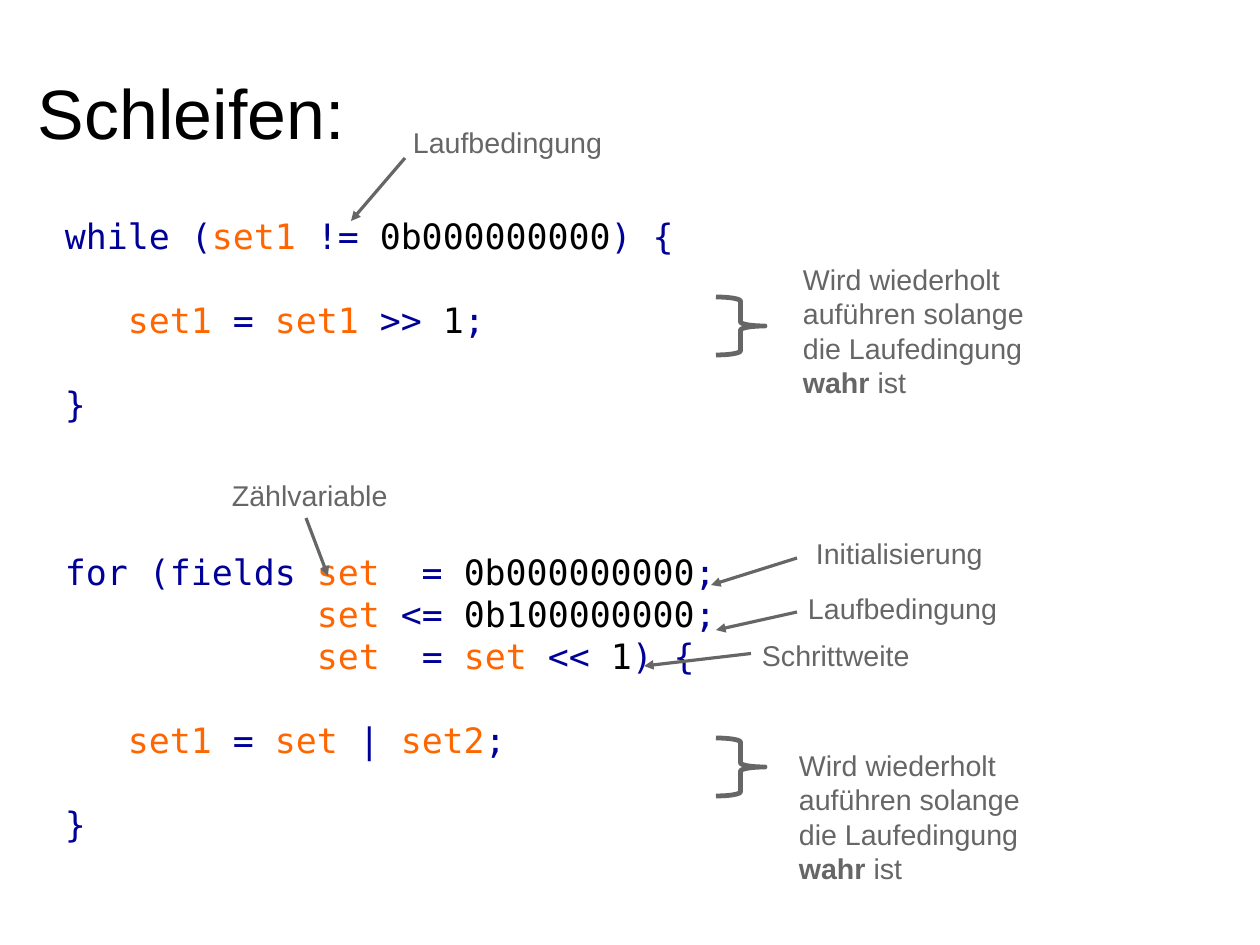
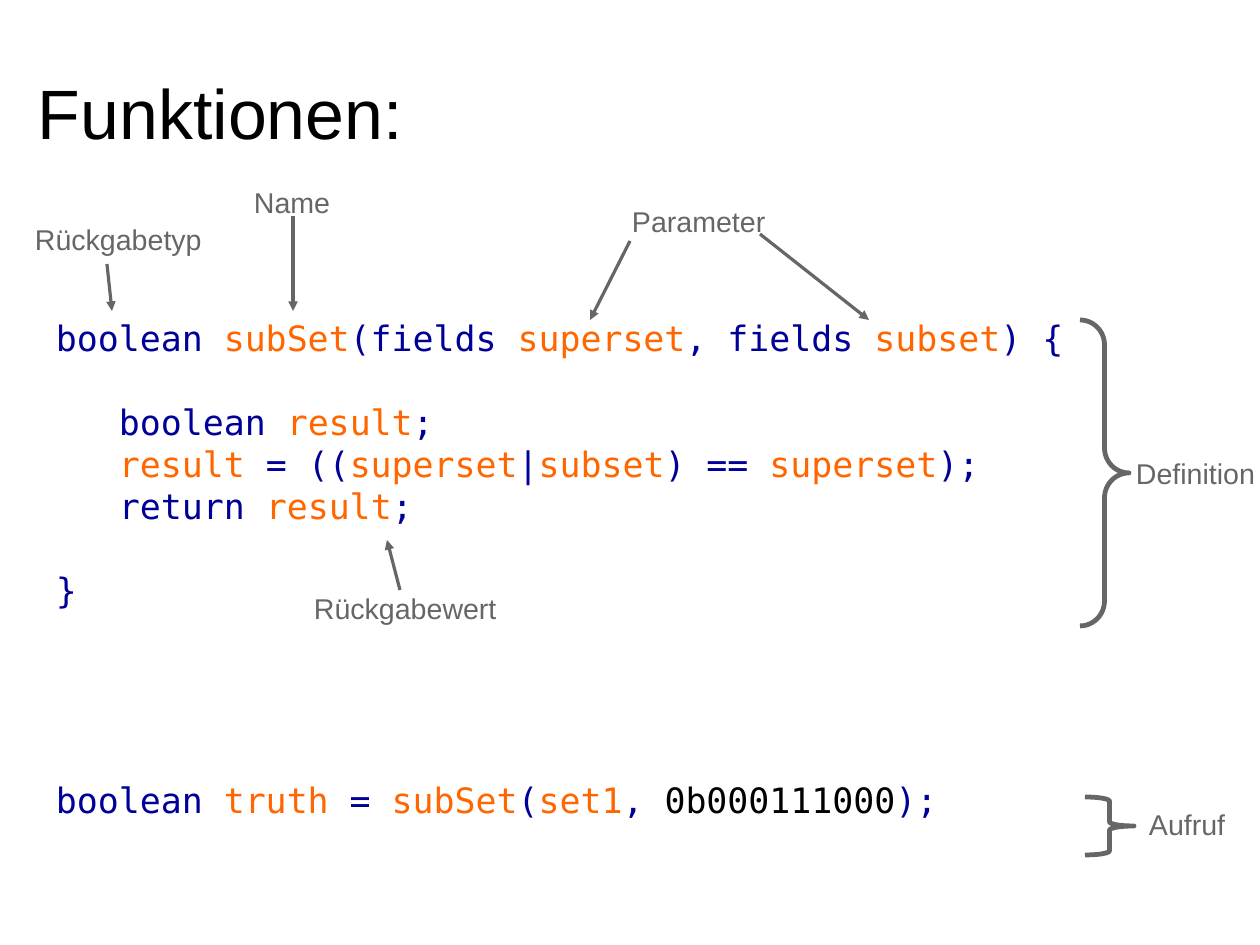
from lxml.etree import SubElement
from pptx import Presentation
from pptx.dml.color import RGBColor
from pptx.enum.shapes import MSO_CONNECTOR, MSO_SHAPE
from pptx.oxml.ns import qn
from pptx.util import Pt

PX = 8000  # EMU per px
BLACK = RGBColor(0x00, 0x00, 0x00)
NAVY = RGBColor(0x00, 0x00, 0x99)
ORANGE = RGBColor(0xFF, 0x66, 0x00)
GREY = RGBColor(0x66, 0x66, 0x66)

# Shared styles: plain text, and text marked with ~ on both sides
TITLE = {"font": {"name": "Arial", "size": Pt(44)}, "plain": BLACK, "marked": BLACK}
LABEL = {"font": {"name": "Arial", "size": Pt(18)}, "plain": GREY, "marked": GREY}
CODE = {"font": {"name": "DejaVu Sans Mono", "size": Pt(22)}, "plain": NAVY, "marked": ORANGE}
CODE_COLUMN = 21
CODE_LINE = 42
TITLE_PLACE = (27, 64, 662, 89)
FRAME = {"word_wrap": True, "margin_left": 11 * PX, "margin_right": 0,
         "margin_top": 6 * PX, "margin_bottom": 6 * PX}
ROUND = 0.51
FLAT = 0.083
REPEATED = ["Wird wiederholt auführen solange", "die Laufedingung ~wahr~ ist"]

# Code lines: empty lines above, indent in columns, text
# Labels: place, paragraphs; arrows: start point or label, end point
SLIDES = [
    {
        "title": "Schleifen:",
        "code_place": (54, 209, 922, 718),
        "code": [
            (0, 0, "while (~set1~ != ~0b000000000~) {"),
            (1, 3, "~set1~ = ~set1~ >> ~1~;"),
            (1, 0, "}"),
            (3, 0, "for (fields ~set~  = ~0b000000000~;"),
            (0, 12, "~set~ <= ~0b100000000~;"),
            (0, 12, "~set~  = ~set~ << ~1~) {"),
            (1, 3, "~set1~ = ~set~ | ~set2~;"),
            (1, 0, "}"),
        ],
        "labels": [
            ((402, 119, 287, 48), ["Laufbedingung"]),
            ((221, 472, 178, 43), ["Zählvariable"]),
            ((805, 530, 190, 43), ["Initialisierung"]),
            ((797, 585, 211, 43), ["Laufbedingung"]),
            ((751, 632, 170, 43), ["Schrittweite"]),
            ((792, 256, 261, 141), REPEATED),
            ((788, 742, 261, 141), REPEATED),
        ],
        "braces": [((716, 297, 49, 58), FLAT), ((716, 738, 49, 58), FLAT)],
        "arrows": [
            ((405, 158), (351, 221)),
            ((306, 518), (328, 576)),
            ((797, 558), (711, 585)),
            ((797, 612), (716, 630)),
            ("Schrittweite", (644, 666)),
        ],
    },
    {
        "title": "Funktionen:",
        "code_place": (45, 311, 1134, 594),
        "code": [
            (0, 0, "boolean ~subSet~(fields ~superset~, fields ~subset~) {"),
            (1, 3, "boolean ~result~;"),
            (0, 3, "~result~ = ((~superset~|~subset~) == ~superset~);"),
            (0, 3, "return ~result~;"),
            (1, 0, "}"),
            (4, 0, "boolean ~truth~ = ~subSet~(~set1~, ~0b000111000~);"),
        ],
        "labels": [
            ((24, 216, 215, 48), ["Rückgabetyp"]),
            ((243, 179, 107, 48), ["Name"]),
            ((621, 198, 202, 43), ["Parameter"]),
            ((303, 585, 215, 48), ["Rückgabewert"]),
            ((1125, 450, 135, 49), ["Definition"]),
            ((1138, 801, 104, 49), ["Aufruf"]),
        ],
        "braces": [((1080, 320, 49, 306), ROUND), ((1085, 797, 49, 58), FLAT)],
        "arrows": [
            ((107, 264), (112, 311)),
            ((293, 216), (293, 311)),
            ((630, 241), (590, 320)),
            ((760, 234), (869, 320)),
            ((400, 590), (387, 540)),
        ],
    },
]


def emu(lengths):
    return [length * PX for length in lengths]


def add_text(page, place, lines, style):
    box = page.shapes.add_textbox(*emu(place))
    frame = box.text_frame
    for name, value in FRAME.items():
        setattr(frame, name, value)
    for number, (gap, indent, text) in enumerate(lines):
        para = frame.paragraphs[0] if number == 0 else frame.add_paragraph()
        if gap:
            para.space_before = Pt(gap * CODE_LINE * PX / 12700)
        if indent:
            para._p.get_or_add_pPr().set("marL", str(indent * CODE_COLUMN * PX))
        for position, piece in enumerate(text.split("~")):
            if not piece:
                continue
            marked = position % 2 == 1
            span = para.add_run()
            span.text = piece
            for name, value in style["font"].items():
                setattr(span.font, name, value)
            span.font.color.rgb = style["marked" if marked else "plain"]
            if marked and style is LABEL:
                span.font.bold = True
            if marked and piece[0].isdigit():
                span.font.color.rgb = BLACK
    return box


deck = Presentation()
deck.slide_width, deck.slide_height = emu((1260, 945))

for content in SLIDES:
    page = deck.slides.add_slide(deck.slide_layouts[6])

    # Title and code
    add_text(page, TITLE_PLACE, [(0, 0, content["title"])], TITLE)
    add_text(page, content["code_place"], content["code"], CODE)

    # Labels
    labels = {}
    for place, texts in content["labels"]:
        labels[texts[0]] = add_text(page, place, [(0, 0, text) for text in texts], LABEL)

    # Braces
    for place, curve in content["braces"]:
        brace = page.shapes.add_shape(MSO_SHAPE.RIGHT_BRACE, *emu(place))
        brace.adjustments[0] = curve
        brace.shadow.inherit = False
        brace.fill.background()
        brace.line.color.rgb = GREY
        brace.line.width = Pt(3)

    # Arrows
    for start, end in content["arrows"]:
        joined = start in labels
        first = end if joined else start
        arrow = page.shapes.add_connector(MSO_CONNECTOR.STRAIGHT, *emu(first + end))
        if joined:
            arrow.begin_connect(labels[start], 1)
        arrow.line.color.rgb = GREY
        arrow.line.width = 0
        SubElement(arrow.line._get_or_add_ln(), qn("a:tailEnd"), type="triangle")
        SubElement(arrow._element.spPr, qn("a:effectLst"))

deck.save("out.pptx")
